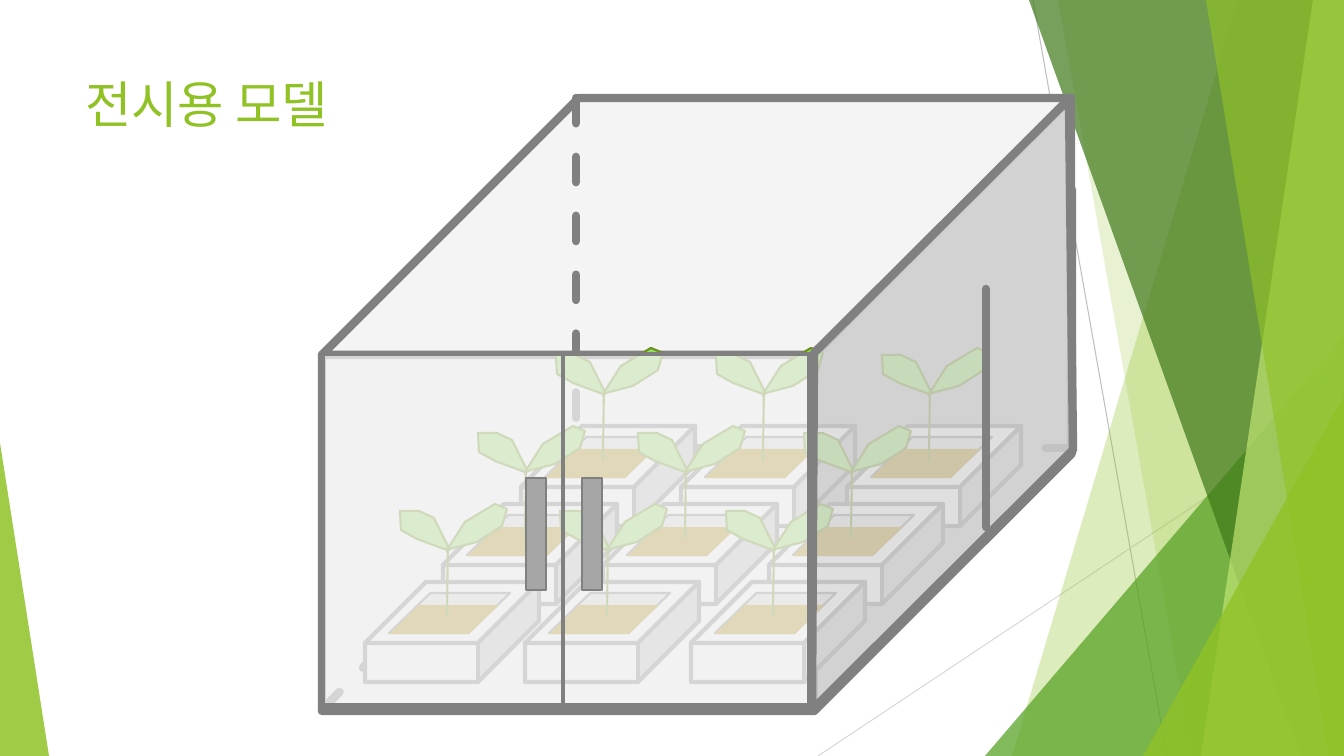
import pptx
import pptx.dml.color
import pptx.enum.dml
import pptx.enum.shapes
import pptx.enum.text
import pptx.oxml
import pptx.oxml.ns
import pptx.util

PIXEL = 12192000 / 1344
SLIDE_BOX = (0, 0, 1344, 756)
SHAPES = pptx.enum.shapes.MSO_SHAPE
COLORS = {
    "lime": "90C226",
    "green": "54A021",
    "forest": "3F7819",
    "pale lime": "C0E474",
    "frame": "808080",
    "glass": "F2F2F2",
    "shade": "D9D9D9",
    "handle": "A6A6A6",
    "soil": "AF8C14",
    "leaf": "94DE61",
    "stem": "6B901C",
    "guide": "BFBFBF",
}
SPROUT = [
    (82, 34), (83, -36), (69, -64), (54, -71), (35, -71), (36, -52), (52, -43), (82, -32),
    (100, -60), (130, -78), (142, -73), (137, -56), (112, -40), (85, -33), (82, -30),
]


def px(value):
    """Turn pixels into EMU."""
    return pptx.util.Emu(round(value * PIXEL))


def rgb(name):
    """Look up a named colour."""
    return pptx.dml.color.RGBColor.from_string(COLORS[name])


def set_line(shape, color, width, dashed=False):
    """Give a shape or connector a line with round ends and joins."""
    shape.line.color.rgb = rgb(color)
    shape.line.width = pptx.util.Pt(width)
    if dashed:
        shape.line.dash_style = pptx.enum.dml.MSO_LINE.DASH
    outline = shape.element.spPr.find(pptx.oxml.ns.qn("a:ln"))
    outline.set("cap", "rnd")
    outline.append(pptx.oxml.parse_xml(f'<a:round {pptx.oxml.ns.nsdecls("a")}/>'))


def paint(shape, fill, opacity=100, line=None, width=0):
    """Set fill, opacity and line of a shape."""
    shape.shadow.inherit = False
    if fill:
        shape.fill.solid()
        shape.fill.fore_color.rgb = rgb(fill)
        if opacity < 100:
            color = shape.element.spPr.find(".//" + pptx.oxml.ns.qn("a:srgbClr"))
            color.append(pptx.oxml.parse_xml(
                f'<a:alpha {pptx.oxml.ns.nsdecls("a")} val="{opacity * 1000}"/>'))
    else:
        shape.fill.background()
    if line:
        set_line(shape, line, width)
    else:
        shape.line.fill.background()


def add_preset(slide, kind, box, part, adjustment=None, **style):
    """Place a preset shape at a part measured from the box."""
    left, top, width, height = part
    shape = slide.shapes.add_shape(
        kind, px(box[0] + left), px(box[1] + top), px(width), px(height))
    if adjustment is not None:
        shape.adjustments[0] = adjustment
    paint(shape, **style)


def add_outline(slide, box, points, close=True, **style):
    """Place a freeform with points measured from the box."""
    placed = [(box[0] + x, box[1] + y) for x, y in points]
    builder = slide.shapes.build_freeform(*placed[0], scale=PIXEL)
    builder.add_line_segments(placed[1:], close=close)
    paint(builder.convert_to_shape(), **style)


def add_line(slide, box, ends, color, width, dashed=False):
    """Place a straight line with ends measured from the box."""
    x1, y1, x2, y2 = ends
    connector = slide.shapes.add_connector(
        pptx.enum.shapes.MSO_CONNECTOR.STRAIGHT,
        px(box[0] + x1), px(box[1] + y1), px(box[0] + x2), px(box[1] + y2))
    set_line(connector, color, width, dashed)
    connector.element.spPr.append(
        pptx.oxml.parse_xml(f'<a:effectLst {pptx.oxml.ns.nsdecls("a")}/>'))


def add_backdrop(slide, box):
    """Draw the green facets at the slide edges."""
    def band(top_x, bottom_x, fill, opacity):
        """Draw a facet reaching the right edge."""
        width, height = box[2:]
        points = [(top_x, 0), (width, 0), (width, height), (bottom_x, height)]
        add_outline(slide, box, points, fill=fill, opacity=opacity)

    def corner(part, adjustment, fill, opacity):
        """Draw a triangular facet."""
        add_preset(slide, SHAPES.ISOSCELES_TRIANGLE, box, part, adjustment,
                   fill=fill, opacity=opacity)

    add_line(slide, box, (1033, 0, 1167, 756), "guide", 0.75)
    add_line(slide, box, (1344, 406, 818, 756), "shade", 0.75)
    band(1238, 1012, "lime", 30)
    band(1058, 1192, "lime", 20)
    corner((985, 336, 359, 420), 1, "green", 72)
    band(1029, 1301, "forest", 70)
    band(1313, 1201, "pale lime", 70)
    band(1206, 1329, "lime", 65)
    corner((1143, 396, 201, 360), 1, "lime", 80)
    corner((0, 443, 49, 313), 0, "lime", 85)


def add_title(slide, box, text):
    """Place and format the slide title."""
    title = slide.shapes.title
    title.left, title.top, title.width, title.height = map(px, box)
    frame = title.text_frame
    frame.word_wrap = True
    frame.vertical_anchor = pptx.enum.text.MSO_ANCHOR.TOP
    paragraph = frame.paragraphs[0]
    paragraph.alignment = pptx.enum.text.PP_ALIGN.LEFT
    run = paragraph.add_run()
    run.text = text
    run.font.name = "Roboto"
    run.font.size = pptx.util.Pt(36)
    run.font.color.rgb = rgb("lime")


def add_pot(slide, box):
    """Draw a planter with soil and a sprout."""
    add_preset(slide, SHAPES.CUBE, box, (0, 0, *box[2:]), 0.61,
               fill="glass", line="frame", width=3)
    add_preset(slide, SHAPES.PARALLELOGRAM, box, (24, 11, 121, 40), 1.035,
               fill="shade", line="frame", width=1.5)
    add_preset(slide, SHAPES.PARALLELOGRAM, box, (24, 23, 110, 29), 1.035, fill="soil")
    add_outline(slide, box, SPROUT, close=False, fill="leaf", line="stem", width=1.5)


def add_case(slide, box, part, adjustment, fill, hidden_edges):
    """Draw a cube frame with its dashed hidden edges."""
    add_preset(slide, SHAPES.CUBE, box, part, adjustment, fill=fill, line="frame", width=6)
    for ends in hidden_edges:
        add_line(slide, box, ends, "frame", 6, dashed=True)


def add_greenhouse(slide, box):
    """Draw the display case with planters, side pane and doors."""
    left, top, width, height = box
    add_case(slide, box, (133, 92, 617, 351), 0.25, None,
             [(750, 352, 224, 348), (224, 92, 224, 348), (133, 441, 224, 350)])
    add_case(slide, box, (0, 0, width, height), 0.419, "glass",
             [(width, 350, 254, 350), (254, 0, 254, 350), (0, 612, 254, 350)])
    for row in range(3):
        for column_offset in (0, 326, 160):
            add_pot(slide, (left + 199 + column_offset - 78 * row,
                            top + 328 + 78 * row, 174, 100))
    add_outline(slide, box, [(492, 255), (490, 612), (751, 352), (747, 1)],
                fill="shade", opacity=75, line="frame", width=6)
    for door_left, door_width, handle_left in ((241, 246, 260), (1, 240, 204)):
        add_preset(slide, SHAPES.RECTANGLE, box, (door_left, 256, door_width, 351),
                   fill="glass", opacity=75, line="frame", width=3)
        add_preset(slide, SHAPES.RECTANGLE, box, (handle_left, 380, 20, 112),
                   fill="handle", line="frame", width=1.5)
    add_line(slide, box, (664, 191, 664, 429), "frame", 6)


def main():
    """Build the presentation."""
    presentation = pptx.Presentation()
    presentation.slide_width, presentation.slide_height = map(px, SLIDE_BOX[2:])
    slide = presentation.slides.add_slide(presentation.slide_layouts[5])
    add_backdrop(slide, SLIDE_BOX)
    add_title(slide, (75, 68, 948, 145), "전시용 모델")
    add_greenhouse(slide, (322, 98, 749, 613))
    presentation.save("out.pptx")


if __name__ == "__main__":
    main()
